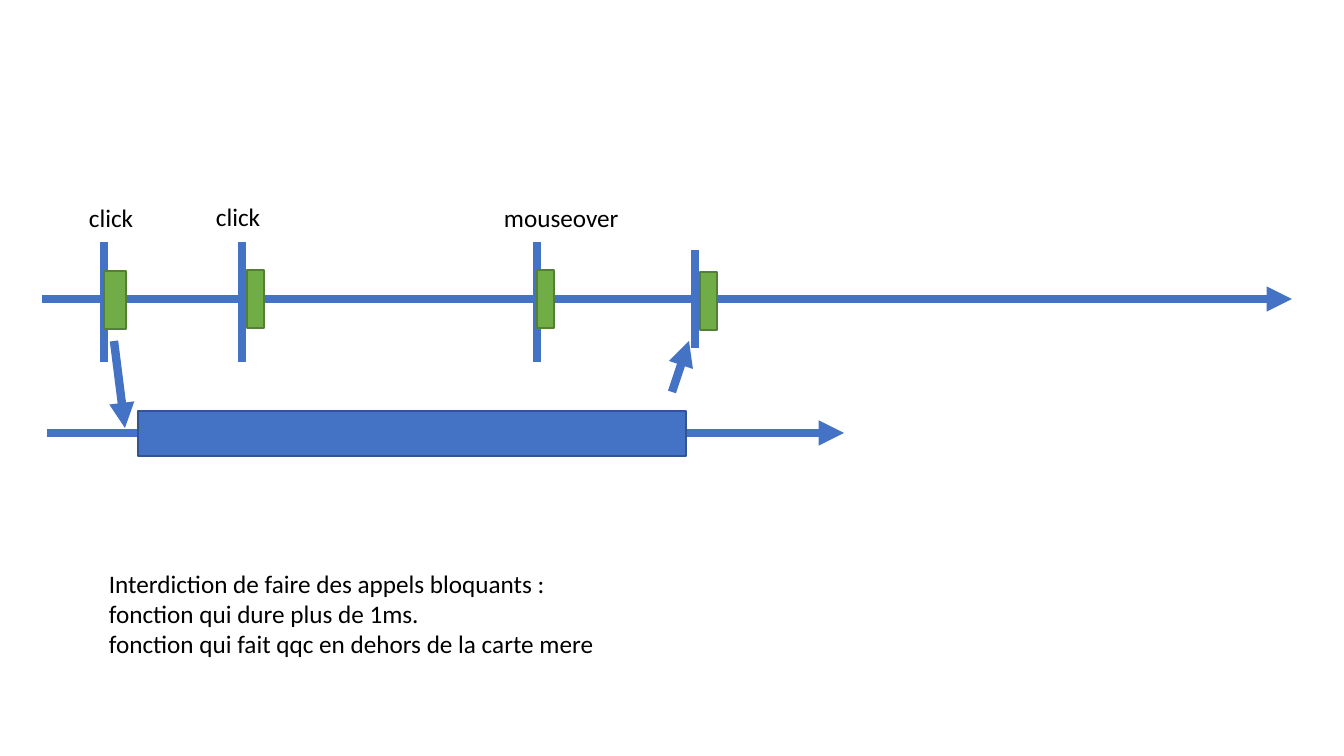
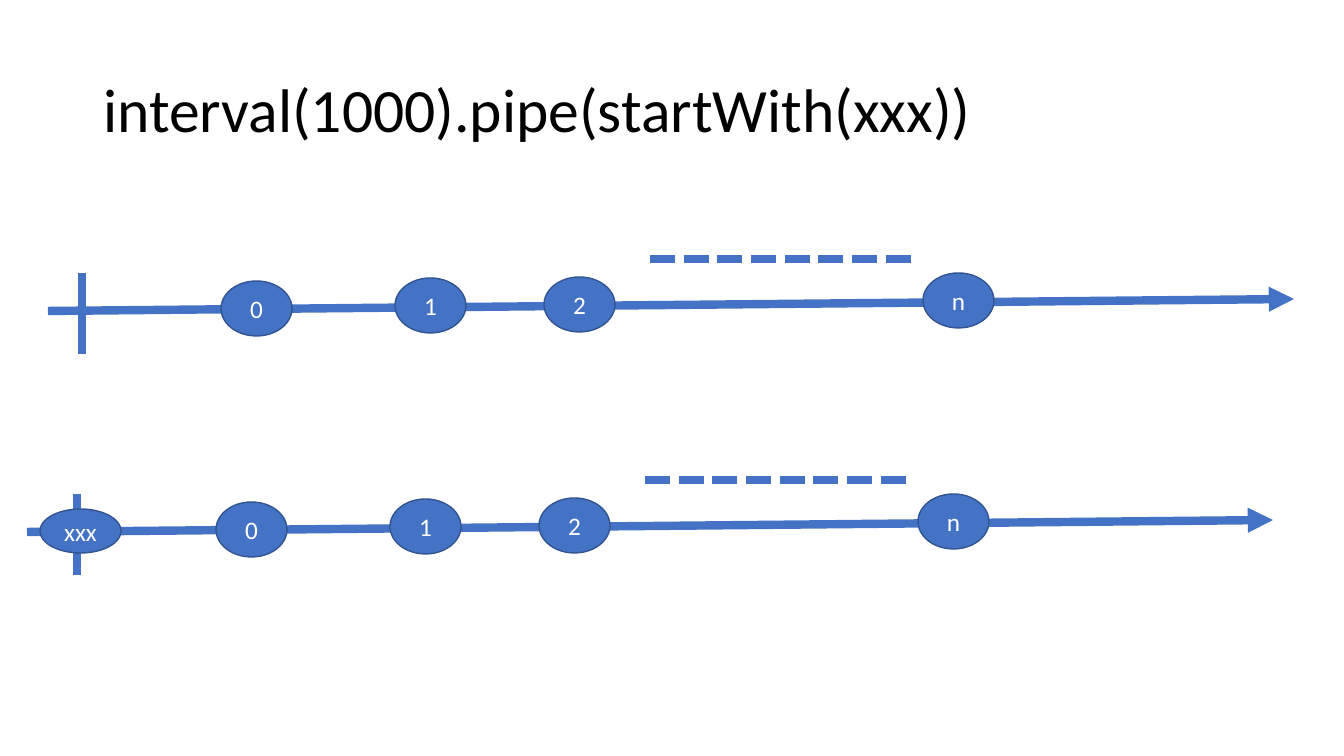
from lxml import etree
from pptx import Presentation
from pptx.dml.color import RGBColor
from pptx.enum.dml import MSO_LINE
from pptx.enum.shapes import MSO_CONNECTOR, MSO_SHAPE
from pptx.enum.text import MSO_ANCHOR, PP_ALIGN
from pptx.oxml.ns import qn
from pptx.util import Emu, Pt

STRAIGHT = MSO_CONNECTOR.STRAIGHT
RECT, OVAL = MSO_SHAPE.RECTANGLE, MSO_SHAPE.OVAL
DASH = MSO_LINE.SQUARE_DOT
MIDDLE = MSO_ANCHOR.MIDDLE
LEFT, CENTER = PP_ALIGN.LEFT, PP_ALIGN.CENTER
TITLE_ONLY, BLANK = 5, 6

SCALE = 914400 / 100.8
FONT = "Calibri"
BLUE, BLUE_EDGE = "4472C4", "325491"
GREEN, GREEN_EDGE = "70AD47", "538035"
BLACK, WHITE = "000000", "FFFFFF"


def px(n):
    """Convert pixels to EMU."""
    return Emu(round(n * SCALE))


def rgb(value):
    """Turn a hex string into a colour."""
    return RGBColor.from_string(value)


def write(tf, text, size=18, color=BLACK, align=LEFT, spacing=None):
    """Fill a text frame with one paragraph per line of text."""
    for i, line in enumerate(text.split("\n")):
        p = tf.add_paragraph() if i else tf.paragraphs[0]
        p.alignment = align
        p.line_spacing = spacing
        r = p.add_run()
        r.text = line
        r.font.name, r.font.size = FONT, Pt(size)
        r.font.color.rgb = rgb(color)


def add_label(s, text, x, y, w, h):
    """Add a plain text box."""
    tf = s.shapes.add_textbox(px(x), px(y), px(w), px(h)).text_frame
    tf.word_wrap = False
    write(tf, text)


def add_shape(s, kind, x, y, w, h, fill=BLUE, edge=BLUE_EDGE, text=None):
    """Add a filled, outlined shape with optional centred text."""
    sp = s.shapes.add_shape(kind, px(x), px(y), px(w), px(h))
    sp.shadow.inherit = False
    sp.fill.solid()
    sp.fill.fore_color.rgb = rgb(fill)
    sp.line.color.rgb = rgb(edge)
    sp.line.width = Pt(1)
    if text:
        sp.text_frame.vertical_anchor = MIDDLE
        write(sp.text_frame, text, color=WHITE, align=CENTER)


def add_line(s, x1, y1, x2, y2, arrow=False, dash=None):
    """Add a thick blue line, dashed or with an arrowhead if asked."""
    line = s.shapes.add_connector(STRAIGHT, px(x1), px(y1), px(x2), px(y2))
    line.line.color.rgb = rgb(BLUE)
    line.line.width = Pt(6)
    if dash:
        line.line.dash_style = dash
    if arrow:
        ln = line.line._get_or_add_ln()
        etree.SubElement(ln, qn("a:tailEnd"), type="triangle")
    etree.SubElement(line._element.spPr, qn("a:effectLst"))


def add_event(s, x, y, h, bar_dx, bar_dy, bar_w=17):
    """Add an event tick with the green bar of its handler."""
    add_line(s, x, y, x, y + h)
    add_shape(s, RECT, x + bar_dx, y + bar_dy, bar_w, 58, GREEN, GREEN_EDGE)


def add_event_loop(s, x, y):
    """Draw the main timeline with its events and labels."""
    add_line(s, x, y, x + 1250, y, arrow=True)
    add_event(s, x + 62, y - 57, 120, 0, 29, bar_w=22)
    add_event(s, x + 495, y - 57, 120, 0, 28)
    add_event(s, x + 200, y - 57, 120, 5, 28)
    add_event(s, x + 653, y - 49, 98, 5, 22)
    for text, dx, dy, w in [("click", 37, -102, 66), ("click", 164, -103, 66),
                            ("mouseover", 452, -102, 136)]:
        add_label(s, text, x + dx, y + dy, w, 40)


def add_background_task(s, x, y):
    """Draw the second timeline, its long task and the arrows to and from it."""
    add_line(s, x, y, x + 797, y, arrow=True)
    add_line(s, x + 67, y - 92, x + 78, y - 5, arrow=True)
    add_shape(s, RECT, x + 91, y - 22, 548, 45)
    add_line(s, x + 625, y - 41, x + 642, y - 92, arrow=True)


def add_stream(s, x, y, lead, first=None):
    """Draw a marble diagram whose start tick has its top at x, y."""
    add_line(s, x - lead, y + 38, x - lead + 1246, y + 26, arrow=True)
    add_line(s, x, y, x, y + 81)
    for text, dx, dy in [("0", 139, 8), ("1", 313, 5), ("2", 462, 4), ("n", 841, 0)]:
        add_shape(s, OVAL, x + dx, y + dy, 71, 55, text=text)
    add_line(s, x + 568, y - 14, x + 832, y - 14, dash=DASH)
    if first:
        add_shape(s, OVAL, x - 37, y + 15, 81, 44, text=first)


def set_title(s, text, x, y, w, h):
    """Place and format the title placeholder."""
    sp = s.shapes.title
    sp.left, sp.top, sp.width, sp.height = px(x), px(y), px(w), px(h)
    sp.text_frame.vertical_anchor = MIDDLE
    write(sp.text_frame, text, size=44, spacing=0.9)


def build_event_slide(prs):
    """Build the slide on the event loop and blocking calls."""
    s = prs.slides.add_slide(prs.slide_layouts[BLANK])
    add_event_loop(s, 42, 299)
    add_background_task(s, 47, 433)
    add_label(s, "Interdiction de faire des appels bloquants :\n"
                 "fonction qui dure plus de 1ms.\n"
                 "fonction qui fait qqc en dehors de la carte mere", 99, 563, 511, 102)


def build_stream_slide(prs):
    """Build the slide comparing a stream with and without startWith."""
    s = prs.slides.add_slide(prs.slide_layouts[TITLE_ONLY])
    set_title(s, "interval(1000).pipe(startWith(xxx))", 93, 40, 1159, 146)
    add_stream(s, 82, 273, lead=34)
    add_stream(s, 77, 494, lead=50, first="xxx")


def main():
    """Build and save the presentation."""
    prs = Presentation()
    prs.slide_width, prs.slide_height = px(1344), px(756)
    build_event_slide(prs)
    build_stream_slide(prs)
    prs.save("out.pptx")


main()
